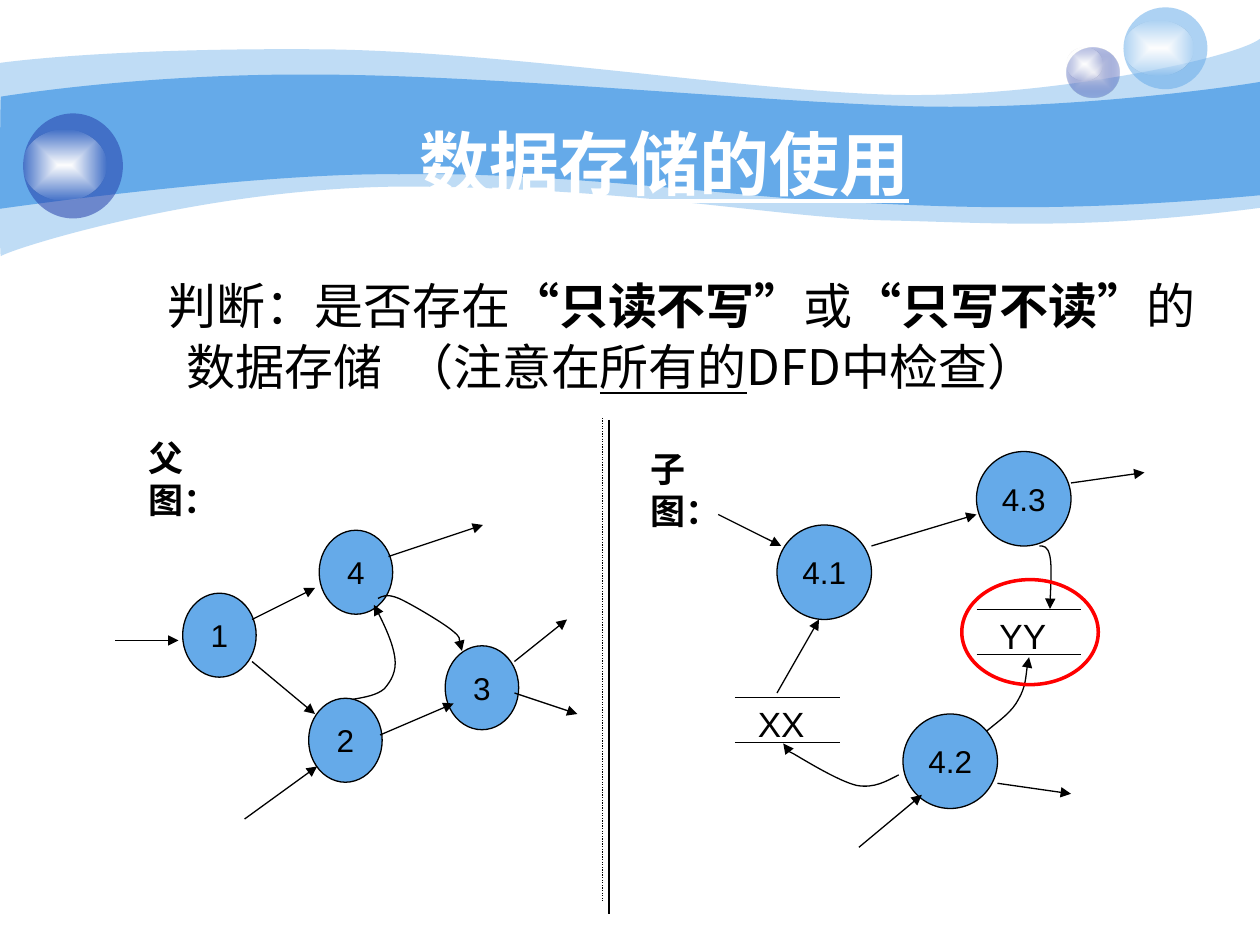
import dataclasses

import lxml.etree
import pptx
import pptx.dml.color
import pptx.enum.dml
import pptx.enum.shapes
import pptx.enum.text
import pptx.oxml.ns
import pptx.util

COLUMNS, ROWS = 120, 90
CELL = pptx.util.Inches(10) / COLUMNS
SHAPES = pptx.enum.shapes.MSO_SHAPE
ALIGN = pptx.enum.text.PP_ALIGN
ANCHOR = pptx.enum.text.MSO_ANCHOR


@dataclasses.dataclass(frozen=True)
class Theme:
    sky: str = "65AAE9"
    navy: str = "233DA9"
    pale: str = "E1E2ED"
    white: str = "FFFFFF"
    ink: str = "000000"
    alert: str = "FF0000"
    latin: str = "Arial"
    chinese: str = "Noto Sans CJK SC"
    title: int = 40
    body: int = 28
    label: int = 20
    node: int = 18
    thin: float = 0.75
    thick: float = 2


THEME = Theme()

LIGHT_BAND = [
    (0, 6), (2.9, 5.6, 12.8, 4.6, 29.6, 4.7), (46.3, 4.7, 69, 8.4, 83.9, 9),
    (98.6, 9.6, 117.6, 5.6, 120, 3.7), (120, 19.8),
    (103, 22, 94.4, 21.2, 84.6, 21), (74.6, 20.8, 61.8, 18.1, 41.2, 17.8),
    (20.6, 17.3, 0.5, 23.9, 0.1, 24.4), (-0.1, 25, 0, 9, 0, 6)]
DARK_BAND = [
    (0.1, 9.2), (0.2, 9.2, 13.2, 7, 29.8, 7.1), (46.3, 7.1, 71.4, 9.6, 86.2, 10.1),
    (100.9, 10.6, 117.1, 8.3, 120, 7.8), (120, 18.6),
    (102.4, 20.2, 91.8, 19.8, 81.8, 19.3), (71.9, 19, 53.6, 16.3, 38, 16.6),
    (24.4, 16.4, -0.2, 19.9, -0.1, 19.9), (0, 19.9, 0, 9.2, 0.1, 9.2)]

PARENT_NODES = [("1", 17.4, 56.5), ("4", 30.4, 50.5), ("2", 29.4, 66.5), ("3", 42.4, 61.5)]
CHILD_NODES = [("4.1", 74, 50), ("4.3", 93, 43), ("4.2", 86, 68)]
FLOWS = [
    (11, 61, 17, 61), (23.3, 78, 30.2, 73), (36.2, 70, 43.2, 67),
    (49, 63, 54, 59), (49, 66, 55, 68), (37, 53, 46, 50),
    (24, 59, 30, 56), (24, 63, 30, 68),
    (68.4, 49, 74.4, 52), (102, 46, 109, 45), (81.8, 80.7, 87.8, 75.7),
    (95, 74.6, 102, 75.6), (74, 66, 78, 59), (83, 52, 93, 49)]
CURVED_FLOWS = [
    [(36, 57), (36.4, 56.8, 36.8, 56.5, 38, 57), (39.1, 57.5, 42, 59.2, 43, 60),
     (44, 60.8, 43.8, 61.7, 44, 62)],
    [(33.6, 66.6), (34.8, 66.4, 35.9, 66.2, 36.6, 65.6), (37.2, 64.9, 37.8, 64, 37.6, 62.6),
     (37.4, 61.2, 36.1, 58.4, 35.6, 57.6)],
    [(94, 69.6), (95.2, 68.6, 96.4, 67.8, 97, 66.6), (97.7, 65.4, 97.8, 63.2, 98, 62.6)],
    [(99, 52), (99.4, 52, 99.8, 52, 100, 53), (100.2, 54, 100, 57.1, 100, 58)],
    [(85.6, 73.8), (84.4, 74.4, 83.3, 75.1, 81.6, 74.8), (79.9, 74.4, 76.8, 72.5, 75.6, 71.8),
     (74.4, 71.2, 74.8, 70.9, 74.6, 70.8)]]


def grid(*cells):
    return [round(cell * CELL) for cell in cells]


def rgb(color):
    return pptx.dml.color.RGBColor.from_string(color)


def add_element(parent, tag, **attributes):
    return lxml.etree.SubElement(parent, pptx.oxml.ns.qn(tag), **attributes)


def set_alphas(shape, *percents):
    colors = shape.element.spPr.iter(pptx.oxml.ns.qn("a:srgbClr"))
    for color, percent in zip(colors, percents):
        add_element(color, "a:alpha", val=str(percent * 1000))


def paint(shape, color, opacity=100):
    shape.shadow.inherit = False
    shape.fill.solid()
    shape.fill.fore_color.rgb = rgb(color)
    if opacity < 100:
        set_alphas(shape, opacity)
    shape.line.fill.background()


def paint_radial(shape, inner, outer, outer_opacity):
    shape.shadow.inherit = False
    shape.line.fill.background()
    shape.fill.gradient()
    for stop, color, position in zip(shape.fill.gradient_stops, (inner, outer), (0, 1)):
        stop.color.rgb = rgb(color)
        stop.position = position
    set_alphas(shape, 100, outer_opacity)
    gradient = shape.element.spPr.find(pptx.oxml.ns.qn("a:gradFill"))
    gradient.remove(gradient.find(pptx.oxml.ns.qn("a:lin")))
    center = add_element(gradient, "a:path", path="shape")
    add_element(center, "a:fillToRect", l="50000", t="50000", r="50000", b="50000")


def stroke(shape, color=THEME.ink, width=THEME.thin, arrow=False):
    shape.line.color.rgb = rgb(color)
    shape.line.width = pptx.util.Pt(width)
    if arrow:
        add_element(shape.line._get_or_add_ln(), "a:tailEnd", type="triangle")


def add_outline(page, segments, closed):
    anchors = [grid(*segment[-2:]) for segment in segments]
    builder = page.shapes.build_freeform(*anchors[0])
    builder.add_line_segments(anchors[1:], close=closed)
    shape = builder.convert_to_shape()
    sides = list(shape.element.spPr.iter(pptx.oxml.ns.qn("a:lnTo")))
    for side, segment in zip(sides, segments[1:]):
        if len(segment) == 6:
            bend(shape, side, grid(*segment))
    return shape


def bend(shape, side, numbers):
    curve = lxml.etree.Element(pptx.oxml.ns.qn("a:cubicBezTo"))
    for x, y in zip(numbers[::2], numbers[1::2]):
        add_element(curve, "a:pt", x=str(x - shape.left), y=str(y - shape.top))
    side.getparent().replace(side, curve)


def add_band(page, segments, opacity):
    paint(add_outline(page, segments, True), THEME.sky, opacity)


def add_curved_flow(page, segments):
    curve = add_outline(page, segments, False)
    curve.shadow.inherit = False
    curve.fill.background()
    stroke(curve, arrow=True)


def add_line(page, ends, arrow=False):
    line = page.shapes.add_connector(pptx.enum.shapes.MSO_CONNECTOR.STRAIGHT, *grid(*ends))
    stroke(line, arrow=arrow)
    add_element(line.element.spPr, "a:effectLst")
    return line


def add_oval(page, area):
    return page.shapes.add_shape(SHAPES.OVAL, *grid(*area))


def add_bubbles(page):
    paint_radial(add_oval(page, (101.6, 4.5, 5, 4.8)), THEME.pale, THEME.navy, 31)
    paint_radial(add_oval(page, (101.6, 4.5, 3.4, 3.2)), THEME.white, THEME.white, 0)
    for color, area, glow in [(THEME.sky, (107, 0.7, 8, 7.8), (107, 2, 6.7, 5.2)),
                              (THEME.navy, (2.2, 10.8, 9.5, 10), (2.2, 12.4, 7.9, 6.7))]:
        paint(add_oval(page, area), color, 53)
        paint_radial(add_oval(page, glow), THEME.white, THEME.white, 0)


def style(span, size, color=THEME.ink, latin=THEME.latin, bold=False, underline=False):
    font = span.font
    font.size, font.bold, font.underline = pptx.util.Pt(size), bold, underline
    font.color.rgb = rgb(color)
    font.name = latin
    if latin == THEME.chinese:
        add_element(span._r.get_or_add_rPr(), "a:ea", typeface=latin)


def add_text(page, area, text, size, **look):
    box = page.shapes.add_textbox(*grid(*area))
    box.text_frame.word_wrap = True
    box.text_frame.text = text
    para = box.text_frame.paragraphs[0]
    para._p.get_or_add_pPr().set("hangingPunct", "0")
    style(para.runs[0], size, **look)
    return box.text_frame


def add_title(page):
    frame = add_text(page, (15.9, 8, 94.8, 15), "数据存储的使用", THEME.title,
                     color=THEME.white, latin=THEME.chinese, bold=True, underline=True)
    frame.vertical_anchor = ANCHOR.MIDDLE
    frame.paragraphs[0].alignment = ALIGN.CENTER


def add_rule(page):
    frame = page.shapes.add_textbox(*grid(12, 24, 103, 16)).text_frame
    frame.word_wrap = True
    frame.margin_top = pptx.util.Inches(0.16)
    para = frame.paragraphs[0]
    para.alignment = ALIGN.JUSTIFY
    para.line_spacing = 1.05
    properties = para._p.get_or_add_pPr()
    properties.set("marL", str(pptx.util.Inches(0.38)))
    properties.set("indent", str(pptx.util.Inches(-0.15)))
    chinese, latin = THEME.chinese, THEME.latin
    for text, font, bold, underline in [
            ("判断：是否存在", chinese, False, False),
            ("“", latin, True, False), ("只读不写", chinese, True, False),
            ("”", latin, True, False), ("或", chinese, False, False),
            ("“", latin, True, False), ("只写不读", chinese, True, False),
            ("”", latin, True, False), ("的数据存储", chinese, False, False),
            (" ", chinese, False, False), ("（注意在", chinese, False, False),
            ("所有的", chinese, False, True), ("DFD中检查）", chinese, False, False)]:
        span = para.add_run()
        span.text = text
        style(span, THEME.body, latin=font, bold=bold, underline=underline)
        if text == " ":
            span._r.get_or_add_rPr().set("spc", "650")


def add_node(page, name, left, top, width, height):
    node = page.shapes.add_shape(SHAPES.FLOWCHART_CONNECTOR, *grid(left, top, width, height))
    paint(node, THEME.sky)
    stroke(node)
    frame = node.text_frame
    frame.word_wrap = False
    frame.vertical_anchor = ANCHOR.MIDDLE
    frame.text = name
    frame.paragraphs[0].alignment = ALIGN.CENTER
    style(frame.paragraphs[0].runs[0], THEME.node)


def add_store(page, name, left, top):
    for row in (top, top + 4.28):
        add_line(page, (left, row, left + 10, row))
    add_text(page, (left + 1, top - 0.1, 9, 5.2), name, THEME.label)


def add_divider(page):
    add_line(page, (58, 40, 58, 87))
    dotted = add_line(page, (57.4, 39.8, 57.4, 85.8))
    dotted.line.dash_style = pptx.enum.dml.MSO_LINE.ROUND_DOT


def main():
    deck = pptx.Presentation()
    deck.slide_width, deck.slide_height = grid(COLUMNS, ROWS)
    page = deck.slides.add_slide(deck.slide_layouts[6])
    add_band(page, LIGHT_BAND, 41)
    add_band(page, DARK_BAND, 100)
    add_bubbles(page)
    add_title(page)
    add_rule(page)
    add_divider(page)
    for nodes, size in [(PARENT_NODES, (7, 8)), (CHILD_NODES, (9, 9))]:
        for name, left, top in nodes:
            add_node(page, name, left, top, *size)
    for text, left, top in [("父图：", 13, 41), ("子图：", 60.8, 42)]:
        add_text(page, (left, top, 11, 5.2), text, THEME.label, bold=True)
    add_store(page, "XX", 70, 66.45)
    add_store(page, "YY", 93, 58.05)
    for ends in FLOWS:
        add_line(page, ends, arrow=True)
    for segments in CURVED_FLOWS:
        add_curved_flow(page, segments)
    ring = add_oval(page, (91.6, 55.2, 13, 10))
    ring.shadow.inherit = False
    ring.fill.background()
    stroke(ring, THEME.alert, THEME.thick)
    deck.save("out.pptx")


if __name__ == "__main__":
    main()
